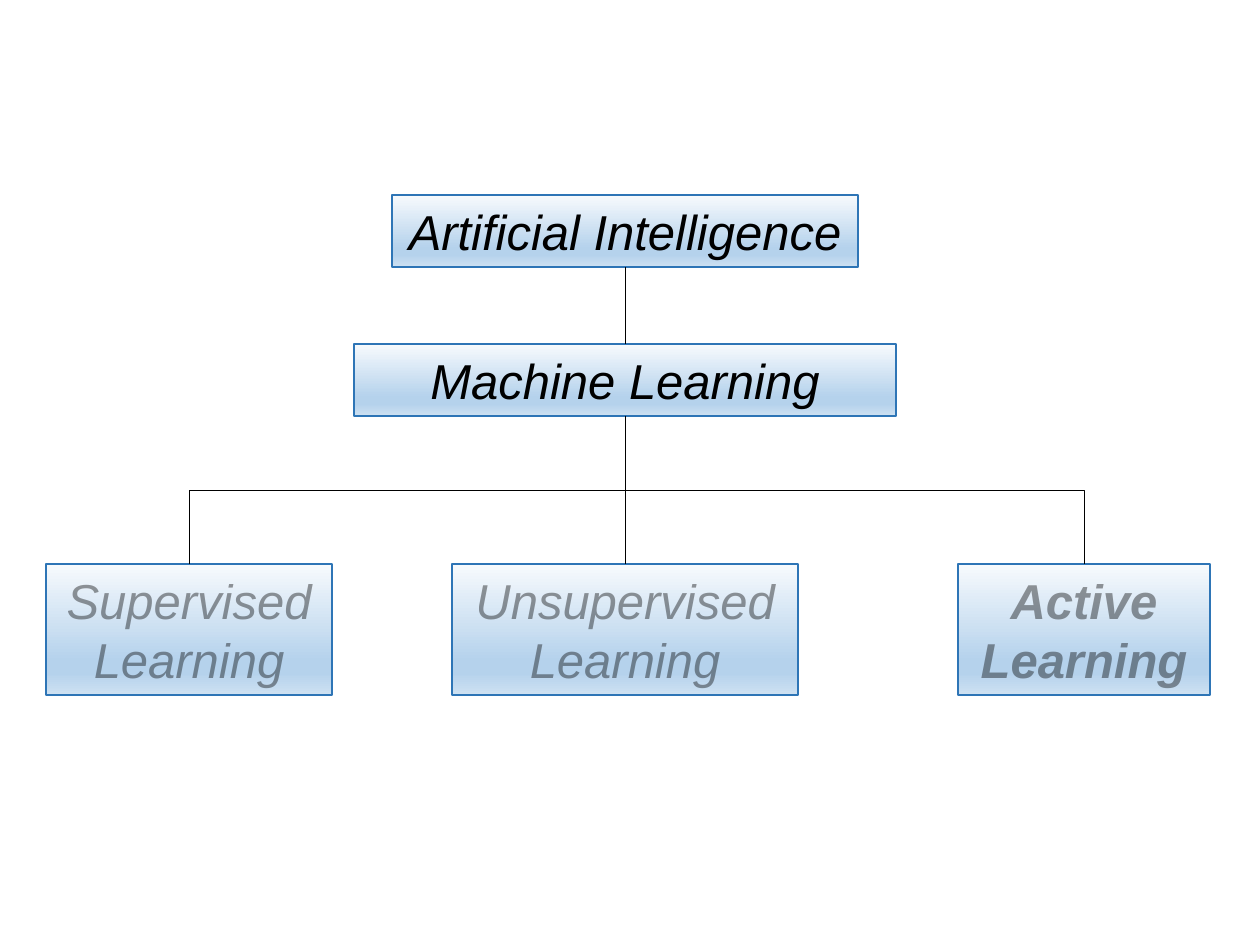
from dataclasses import dataclass

from lxml import etree
from pptx import Presentation
from pptx import util as u
from pptx.dml.color import RGBColor
from pptx.enum import shapes, text
from pptx.oxml import ns

EMU_PER_PIXEL = 914400 / 126
BLACK = RGBColor(0x00, 0x00, 0x00)
BORDER = RGBColor(0x2E, 0x75, 0xB6)
PALE = RGBColor(0xF7, 0xFA, 0xFD)
MID_BLUE = RGBColor(0xB5, 0xD2, 0xEC)
LIGHT_BLUE = RGBColor(0xCE, 0xE1, 0xF2)
GRADIENT = ((0, PALE), (74, MID_BLUE), (83, MID_BLUE), (100, LIGHT_BLUE))
TOP, BOTTOM = 0, 2  # connection sites of a rectangle


@dataclass(frozen=True)
class Topic:
    """One box of the tree, in pixels; opacity in percent."""
    label: str
    left: int
    top: int
    width: int
    height: int = 72
    opacity: int = 100
    bold: bool = False


METHOD_TOP, METHOD_HEIGHT, FADED = 564, 131, 40
MACHINE_LEARNING = Topic("Machine Learning", 354, 344, 542)
METHODS = (
    Topic("Supervised Learning", 46, METHOD_TOP, 286, METHOD_HEIGHT, FADED),
    Topic("Unsupervised Learning", 452, METHOD_TOP, 346, METHOD_HEIGHT, FADED),
    Topic("Active Learning", 958, METHOD_TOP, 252, METHOD_HEIGHT, FADED, True),
)
ARTIFICIAL_INTELLIGENCE = Topic("Artificial Intelligence", 392, 195, 466)


def px(pixels: float) -> u.Emu:
    """Turn pixels into EMU."""
    return u.Emu(round(pixels * EMU_PER_PIXEL))


def add_color(parent, color: RGBColor):
    """Append an RGB colour element and return it."""
    return etree.SubElement(parent, ns.qn("a:srgbClr"), val=str(color))


def fill_gradient(box) -> None:
    """Fill a box with the vertical blue gradient."""
    box.fill.gradient()
    box.fill.gradient_angle = 270
    stops = box._element.spPr.find(ns.qn("a:gradFill")).find(ns.qn("a:gsLst"))
    for stop in list(stops):
        stops.remove(stop)
    for percent, color in GRADIENT:
        stop = etree.SubElement(stops, ns.qn("a:gs"), pos=str(percent * 1000))
        add_color(stop, color)


def add_topic(slide, topic: Topic):
    """Draw a topic box with its label."""
    box = slide.shapes.add_shape(
        shapes.MSO_SHAPE.RECTANGLE,
        px(topic.left), px(topic.top), px(topic.width), px(topic.height))
    box.shadow.inherit = False
    fill_gradient(box)
    box.line.color.rgb = BORDER
    box.line.width = u.Pt(1)
    frame = box.text_frame
    frame.text = topic.label
    frame.word_wrap = True
    frame.auto_size = text.MSO_AUTO_SIZE.SHAPE_TO_FIT_TEXT
    paragraph = frame.paragraphs[0]
    paragraph.alignment = text.PP_ALIGN.CENTER
    font = paragraph.runs[0].font
    font.name, font.size = "Arial", u.Pt(28)
    font.italic, font.bold = True, topic.bold
    font.color.rgb = BLACK
    if topic.opacity < 100:
        color = font._element.find(ns.qn("a:solidFill"))[0]
        etree.SubElement(color, ns.qn("a:alpha"), val=str(topic.opacity * 1000))
    return box


def turn_elbow(link) -> None:
    """Turn an elbow so that it leaves its parent downwards."""
    left, top, span, drop = link.left, link.top, link.width, link.height
    xfrm = link._element.spPr.xfrm
    goes_left = xfrm.flipH
    xfrm.flipH = not goes_left
    xfrm.rot = 90 if goes_left else 270
    link.left, link.top = left + (span - drop) // 2, top + (drop - span) // 2
    link.width, link.height = drop, span


def link_topics(slide, parent, child) -> None:
    """Join two boxes, straight if centred on each other, else by an elbow."""
    offset = (child.left + child.width / 2) - (parent.left + parent.width / 2)
    straight = abs(offset) < px(1)
    kind = shapes.MSO_CONNECTOR.STRAIGHT if straight else shapes.MSO_CONNECTOR.ELBOW
    link = slide.shapes.add_connector(kind, 0, 0, 0, 0)
    link.begin_connect(parent, BOTTOM)
    link.end_connect(child, TOP)
    if not straight:
        turn_elbow(link)
    link.line.color.rgb = BLACK
    link.line.width = u.Pt(0.5)
    etree.SubElement(link._element.spPr, ns.qn("a:effectLst"))


def main() -> None:
    """Build the slide and save it."""
    deck = Presentation()
    deck.slide_width, deck.slide_height = px(1260), px(945)
    slide = deck.slides.add_slide(deck.slide_layouts[6])
    learning = add_topic(slide, MACHINE_LEARNING)
    methods = [add_topic(slide, method) for method in METHODS]
    intelligence = add_topic(slide, ARTIFICIAL_INTELLIGENCE)
    link_topics(slide, intelligence, learning)
    for method in methods:
        link_topics(slide, learning, method)
    deck.save("out.pptx")


main()
